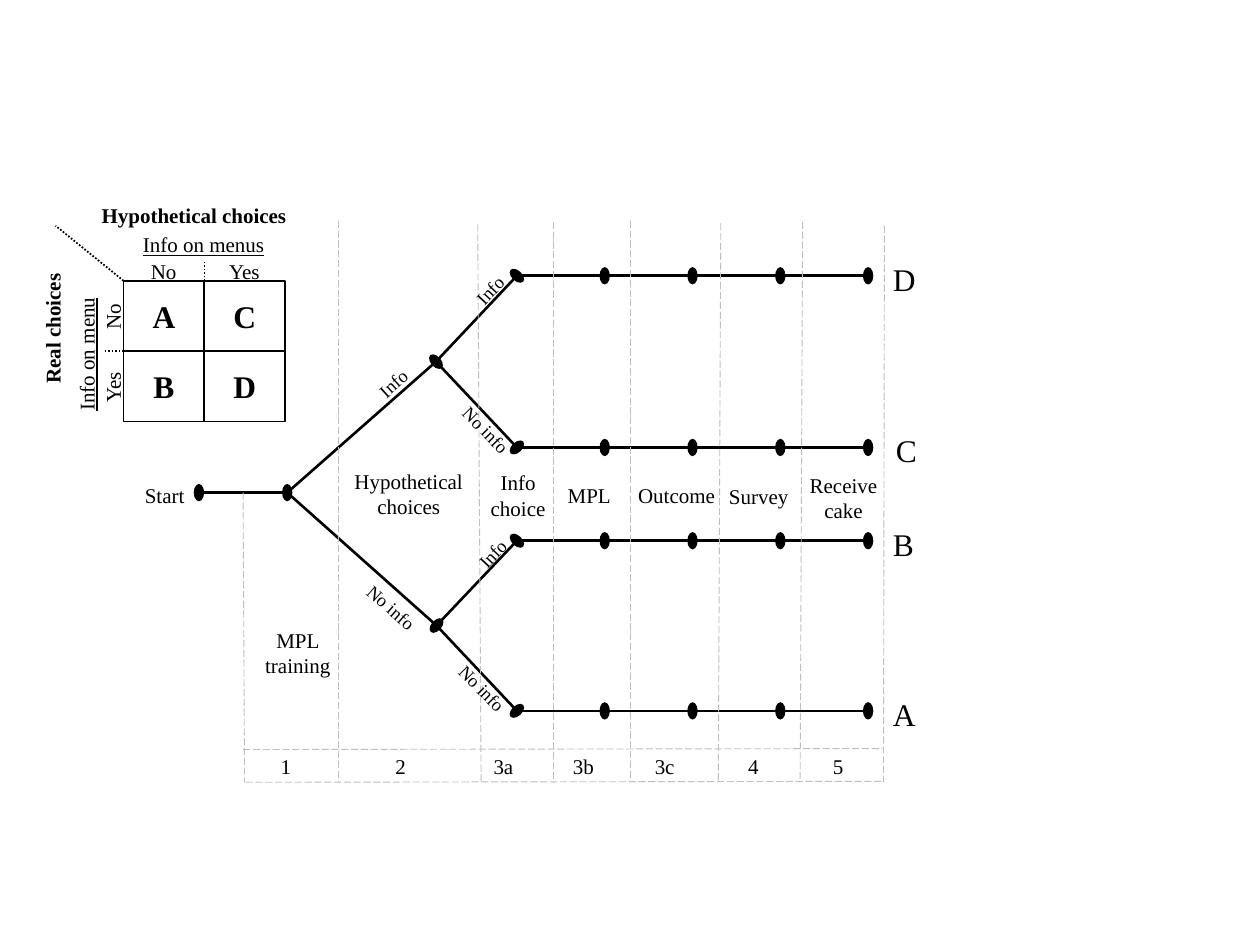
from dataclasses import dataclass

from lxml.etree import SubElement
from pptx import Presentation
from pptx.dml.color import RGBColor
from pptx.enum.dml import MSO_LINE
from pptx.enum.shapes import MSO_CONNECTOR, MSO_SHAPE
from pptx.enum.text import MSO_ANCHOR, MSO_AUTO_SIZE, PP_ALIGN
from pptx.oxml.ns import qn
from pptx.util import Cm, Pt


@dataclass(frozen=True)
class Theme:
    font: str = "Times New Roman"
    ink: RGBColor = RGBColor(0, 0, 0)
    pale: RGBColor = RGBColor(0xBF, 0xBF, 0xBF)
    paper: RGBColor = RGBColor(255, 255, 255)
    large: float = 18
    body: float = 12
    small: float = 10.5


theme = Theme()
branch = {"color": theme.ink, "width": 1.5, "dash": None}
guide = {"color": theme.pale, "width": 0.5, "dash": MSO_LINE.LONG_DASH}
dotted = {"color": theme.ink, "width": 1, "dash": MSO_LINE.ROUND_DOT}

deck = Presentation()
deck.slide_width, deck.slide_height = Cm(25.4), Cm(19.05)
shapes = deck.slides.add_slide(deck.slide_layouts[6]).shapes


def draw(start, end, style, dots=()):
    """Draw a straight line; dots names the ends that carry an oval."""
    link = shapes.add_connector(
        MSO_CONNECTOR.STRAIGHT, *(Cm(v) for v in (*start, *end)))
    link.line.color.rgb = style["color"]
    link.line.width = Pt(style["width"])
    if style["dash"]:
        link.line.dash_style = style["dash"]
    for side in dots:
        SubElement(link.get_or_add_ln(), qn(f"a:{side}"),
                   type="oval", w="lg", len="med")
    SubElement(link._element.spPr, qn("a:effectLst"))


def write(shape, words, size, align, look):
    """Set each line of words as one paragraph of the shape."""
    frame = shape.text_frame
    frame.text = words
    format = {"name": theme.font, "size": Pt(size), **look}
    for para in frame.paragraphs:
        para.alignment = align
        font = para.runs[0].font
        for key, value in format.items():
            setattr(font, key, value)
        font.color.rgb = theme.ink


# Decision tree: a start, two forks and four rows of equal steps
start, root = (4.01, 9.93), (5.79, 9.93)
first, step = 10.42, 1.77
rows = {"D": 5.56, "C": 9.02, "B": 10.9, "A": 14.33}
forks = {(8.79, 7.29): "DC", (8.8, 12.61): "BA"}

draw(start, root, branch, ("headEnd", "tailEnd"))
for fork, names in forks.items():
    draw(root, fork, branch, ("tailEnd",))
    for name in names:
        draw(fork, (first, rows[name]), branch, ("tailEnd",))
for y in rows.values():
    for i in range(4):
        left = first + i * step
        draw((left, y), (left + step, y), branch, ("tailEnd",))

# Stage guides: top x, top y, bottom x
base = 15.77
for top, y, foot in [
    (4.9, 9.93, 4.93), (6.83, 4.45, 6.83), (9.63, 4.52, 9.7),
    (11.15, 4.47, 11.15), (12.7, 4.45, 12.7), (14.53, 4.5, 14.48),
    (16.18, 4.47, 16.13), (17.83, 4.55, 17.81),
]:
    draw((top, y), (foot, base), guide)
draw((4.9, 15.11), (17.78, 15.09), guide)
draw((4.95, base), (17.81, 15.75), guide)

# Treatment matrix
edge, top, wide, high = 2.49, 5.66, 1.63, 1.42
for i, line in enumerate(("AC", "BD")):
    for j, name in enumerate(line):
        cell = shapes.add_shape(
            MSO_SHAPE.RECTANGLE, Cm(edge + j * wide), Cm(top + i * high),
            Cm(wide), Cm(high))
        cell.shadow.inherit = False
        cell.fill.solid()
        cell.fill.fore_color.rgb = theme.paper
        cell.line.color.rgb = theme.ink
        cell.line.width = Pt(1)
        cell.text_frame.vertical_anchor = MSO_ANCHOR.MIDDLE
        write(cell, name, theme.large, PP_ALIGN.CENTER, {"bold": True})
draw((edge + wide, top), (edge + wide, 5.26), dotted)
draw((2.11, top + high), (edge, top + high), dotted)
draw((edge, top), (1.12, 4.55), dotted)

# Labels: words, left, top, width, turn, look
plain, bold, under = {}, {"bold": True}, {"underline": True}
heads = [
    ("Hypothetical choices", 1.8, 3.96, 4.29, 0, bold),
    ("Real choices", -0.33, 6.22, 2.77, 270, bold),
    ("No", 2.79, 5.08, 1.04, 0, plain),
    ("Yes", 4.37, 5.08, 1.14, 0, plain),
    ("No", 1.75, 5.99, 1.04, 270, plain),
    ("Yes", 1.7, 7.42, 1.14, 270, plain),
    ("Start", 2.67, 9.6, 1.32, 0, plain),
]
heads += [
    (name, left, 15.07, width, 0, plain) for name, left, width in [
        ("1", 5.41, 0.74), ("2", 7.72, 0.74), ("3a", 9.7, 0.91),
        ("3b", 11.3, 0.94), ("3c", 12.95, 0.91), ("4", 14.83, 0.74),
        ("5", 16.54, 0.74),
    ]
]
stages = [
    ("Info on menus", 2.62, 4.55, 2.97, 0, under),
    ("Info on menu", 0.33, 6.76, 2.82, 270, under),
    ("MPL\ntraining", 5.08, 12.52, 1.85, 0, plain),
    ("Hypothetical\nchoices", 6.88, 9.32, 2.72, 0, plain),
    ("Info\nchoice", 9.63, 9.35, 1.63, 0, plain),
    ("MPL", 11.18, 9.6, 1.4, 0, plain),
    ("Outcome", 12.6, 9.6, 2.08, 0, plain),
    ("Survey", 14.43, 9.63, 1.73, 0, plain),
    ("Receive\ncake", 16.05, 9.4, 1.91, 0, plain),
]
ends = [
    (name, 17.81 if name == "C" else 17.75, y - 0.45, 0.97, 0, plain)
    for name, y in rows.items()
]
slopes = [
    ("Info", 7.37, 7.37, 1.14, 317.8, plain),
    ("No info", 7.06, 11.91, 1.68, 41.4, plain),
    ("Info", 9.32, 5.49, 1.14, 313.3, plain),
    ("Info", 9.37, 10.8, 1.14, 313, plain),
    ("No info", 8.89, 13.54, 1.68, 45.8, plain),
    ("No info", 8.97, 8.33, 1.68, 45.8, plain),
]
for labels, size, height, align in [
    (heads, theme.body, 0.76, PP_ALIGN.LEFT),
    (stages, theme.body, 0.76, PP_ALIGN.CENTER),
    (ends, theme.large, 1.02, PP_ALIGN.LEFT),
    (slopes, theme.small, 0.71, PP_ALIGN.LEFT),
]:
    for words, left, y, width, turn, look in labels:
        tall = height + 0.51 * words.count("\n")
        box = shapes.add_textbox(Cm(left), Cm(y), Cm(width), Cm(tall))
        box.rotation = turn
        box.text_frame.word_wrap = False
        box.text_frame.auto_size = MSO_AUTO_SIZE.SHAPE_TO_FIT_TEXT
        write(box, words, size, align, look)

deck.save("out.pptx")
